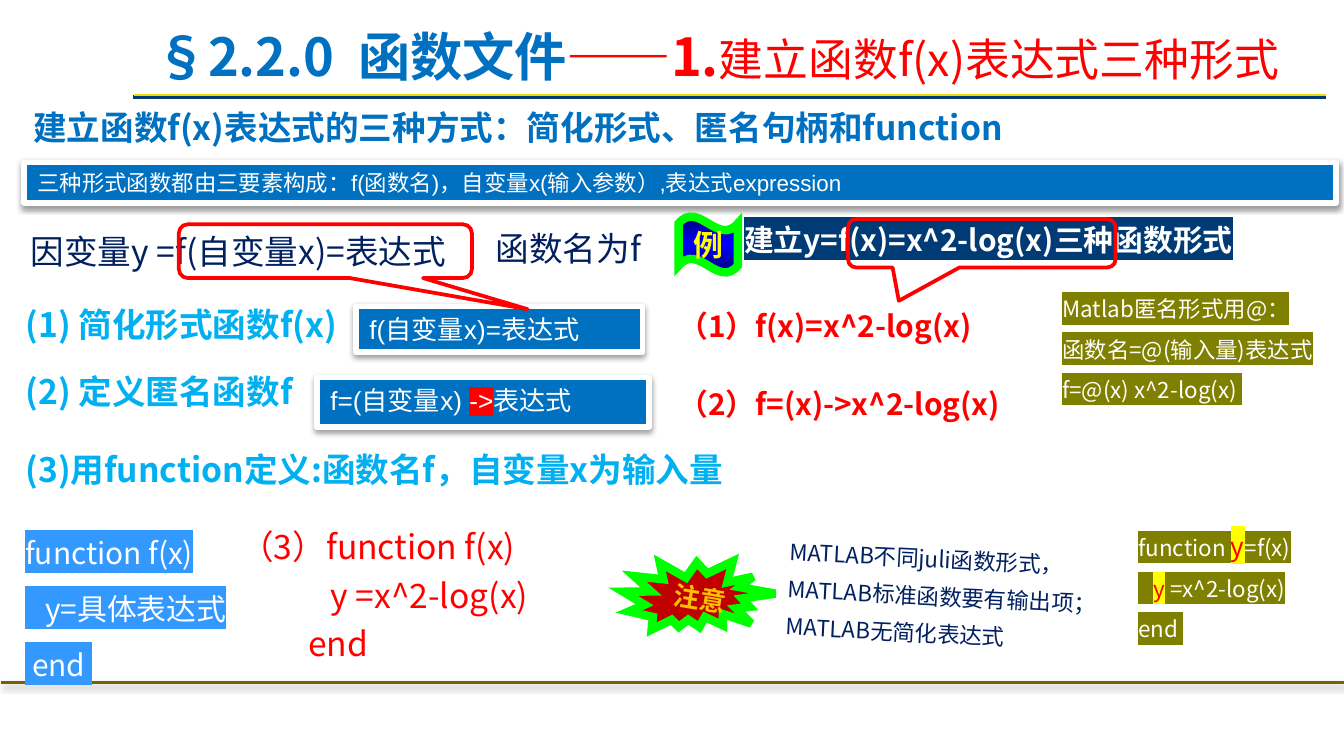
from copy import deepcopy
from typing import NamedTuple

from lxml import etree
from pptx import Presentation
from pptx.dml.color import RGBColor
from pptx.enum import shapes, text
from pptx.oxml import ns
from pptx.util import Pt

NAVY = RGBColor(0x00, 0x20, 0x60)
DEEP = RGBColor(0x00, 0x3B, 0x76)
BLUE = RGBColor(0x00, 0x70, 0xC0)
SKY = RGBColor(0x00, 0xB0, 0xF0)
AZURE = RGBColor(0x33, 0x99, 0xFF)
RED = RGBColor(0xFF, 0x00, 0x00)
CRIMSON = RGBColor(0xC0, 0x00, 0x00)
GOLD = RGBColor(0xF0, 0xDA, 0x04)
AMBER = RGBColor(0xFF, 0xC0, 0x00)
YELLOW = RGBColor(0xFF, 0xFF, 0x00)
BRONZE = RGBColor(0x73, 0x63, 0x03)
OLIVE = RGBColor(0x80, 0x80, 0x00)
GREEN = RGBColor(0x00, 0xFF, 0x00)
INK = RGBColor(0x00, 0x00, 0x76)
PURE_BLUE = RGBColor(0x00, 0x00, 0xFF)
WHITE = RGBColor(0xFF, 0xFF, 0xFF)
SANS = "Noto Sans CJK SC"
JUSTIFY = text.PP_ALIGN.JUSTIFY
Shape = shapes.MSO_SHAPE


class Span(NamedTuple):
    words: str
    color: RGBColor | None = None
    highlight: RGBColor | None = None
    size: float | None = None
    bold: bool | None = None


class Frame(NamedTuple):
    left: float
    top: float
    width: float
    height: float
    rotation: float = 0


class Style(NamedTuple):
    size: float
    color: RGBColor
    bold: bool = False
    font: str = SANS
    highlight: RGBColor | None = None
    spacing: float | Pt = 1.0
    align: text.PP_ALIGN = text.PP_ALIGN.LEFT


class Note(NamedTuple):
    frame: Frame
    style: Style
    lines: list[list[Span]]


def plain(*lines: str) -> list[list[Span]]:
    return [[Span(line)] for line in lines]


def place(item, frame: Frame) -> None:
    item.left, item.top, item.width, item.height = map(Pt, frame[:4])
    item.rotation = frame.rotation


def add_shadow(item, alpha: int, blur: float, distance: float) -> None:
    effects = etree.SubElement(item._element.spPr, ns.qn("a:effectLst"))
    shadow = etree.SubElement(effects, ns.qn("a:outerShdw"), blurRad=str(Pt(blur)),
                              dist=str(Pt(distance)), dir="5400000", rotWithShape="0")
    color = etree.SubElement(shadow, ns.qn("a:srgbClr"), val="000000")
    etree.SubElement(color, ns.qn("a:alpha"), val=str(alpha * 1000))


def write_line(para, style: Style, line: list[Span], gap: float = 0) -> None:
    para.alignment, para.line_spacing, para.space_before = style.align, style.spacing, Pt(gap)
    font = para.font
    font.size, font.bold, font.name = Pt(style.size), style.bold, style.font
    font.color.rgb = style.color
    etree.SubElement(font._element, ns.qn("a:ea"), typeface=SANS)
    for span in line:
        run = para.add_run()
        run.text, run.font.bold = span.words, span.bold
        if span.color is not None:
            run.font.color.rgb = span.color
        if span.size is not None:
            run.font.size = Pt(span.size)
        highlight = span.highlight or style.highlight
        if highlight is not None:
            holder = etree.SubElement(run.font._element, ns.qn("a:highlight"))
            etree.SubElement(holder, ns.qn("a:srgbClr"), val=str(highlight))


def write(body, style: Style, lines: list[list[Span]]) -> None:
    for index, line in enumerate(lines):
        write_line(body.add_paragraph() if index else body.paragraphs[0], style, line)


def add_note(page, note: Note) -> None:
    box = page.shapes.add_textbox(*map(Pt, note.frame[:4]))
    box.rotation = note.frame.rotation
    box.text_frame.word_wrap = True
    box.text_frame.auto_size = text.MSO_AUTO_SIZE.SHAPE_TO_FIT_TEXT
    write(box.text_frame, note.style, note.lines)


def add_panel(page, note: Note, fill: RGBColor, framed: bool = True) -> None:
    box = page.shapes.add_shape(Shape.RECTANGLE, *map(Pt, note.frame[:4]))
    box.fill.solid()
    box.fill.fore_color.rgb = fill
    if framed:
        box.line.color.rgb, box.line.width = WHITE, Pt(3)
        add_shadow(box, 38, 3.1, 1.6)
    else:
        box.line.fill.background()
        box.shadow.inherit = False
    box.text_frame.word_wrap = True
    box.text_frame.vertical_anchor = text.MSO_ANCHOR.TOP
    write(box.text_frame, note.style, note.lines)


def add_badge(page, note: Note, kind: Shape, fill: RGBColor | None = None) -> None:
    box = page.shapes.add_shape(kind, *map(Pt, note.frame[:4]))
    box.rotation, box.shadow.inherit = note.frame.rotation, False
    box.line.color.rgb, box.line.width = GREEN, Pt(4.5)
    etree.SubElement(box._element.spPr.find(ns.qn("a:ln")), ns.qn("a:miter"), lim="800000")
    if fill is not None:
        box.fill.solid()
        box.fill.fore_color.rgb = fill
    else:
        box.fill.gradient()
        box.fill.gradient_angle = 90
        first, middle = box.fill.gradient_stops
        first.color.rgb, middle.color.rgb = INK, PURE_BLUE
        first.position, middle.position = 0, 0.5
        stops = box._element.spPr.find(".//" + ns.qn("a:gsLst"))
        stops.append(deepcopy(stops[0]))
        stops[2].set("pos", "100000")
    box.text_frame.word_wrap = False
    box.text_frame.vertical_anchor = text.MSO_ANCHOR.MIDDLE
    write(box.text_frame, note.style, note.lines)


def add_callout(page, frame: Frame, tip: tuple[float, float]) -> None:
    box = page.shapes.add_shape(Shape.ROUNDED_RECTANGULAR_CALLOUT, *map(Pt, frame[:4]))
    box.adjustments[0], box.adjustments[1] = tip
    box.shadow.inherit = False
    box.fill.background()
    box.line.color.rgb, box.line.width = RED, Pt(2)


def add_rule(page, left: float, right: float, top: float, color: RGBColor, width: float):
    rule = page.shapes.add_connector(shapes.MSO_CONNECTOR.STRAIGHT,
                                     Pt(left), Pt(top), Pt(right), Pt(top))
    rule.line.color.rgb, rule.line.width = color, Pt(width)
    return rule


def fill_title(title) -> None:
    place(title, Frame(76.3, -4.3, 643, 54.7))
    body = title.text_frame
    body.margin_right, body.word_wrap = 0, True
    body.auto_size, body.vertical_anchor = text.MSO_AUTO_SIZE.NONE, text.MSO_ANCHOR.BOTTOM
    write(body, Style(28, BLUE, True),
          [[Span("§2.2.0  函数文件"), Span("——1.", RED),
            Span("建立函数f(x)表达式三种形式", RED, size=24, bold=False)]])


def fill_methods(holder) -> None:
    place(holder, Frame(6.5, 159, 495, 107))
    body = holder.text_frame
    body.auto_size, body.vertical_anchor = text.MSO_AUTO_SIZE.NONE, text.MSO_ANCHOR.TOP
    lines = plain("(1) 简化形式函数f(x)", "(2) 定义匿名函数f",
                  "(3)用function定义:函数名f，自变量x为输入量")
    for index, (line, gap) in enumerate(zip(lines, (0, 14.5, 20))):
        para = body.add_paragraph() if index else body.paragraphs[0]
        properties = para._p.get_or_add_pPr()
        properties.set("marL", "0")
        properties.set("indent", "0")
        etree.SubElement(properties, ns.qn("a:buNone"))
        write_line(para, Style(18, SKY, True), line, gap)


CODE = Style(12, WHITE, highlight=OLIVE, spacing=1.5)
PANEL = Style(14, WHITE, font="Arial", align=JUSTIFY)
NOTES = [
    Note(Frame(258.5, 118.8, 104.4, 29), Style(18, NAVY), plain("函数名为f")),
    Note(Frame(121.7, 274, 199.4, 83.5), Style(18, RED, spacing=Pt(26)),
         plain("（3）function f(x)", "            y =x^2-log(x)", "         end")),
    Note(Frame(356.4, 161.3, 211, 26.6), Style(16, RED, True), plain("（1）f(x)=x^2-log(x)")),
    Note(Frame(9.4, 120, 260.6, 29), Style(18, NAVY), plain("因变量y =f(自变量x)=表达式")),
    Note(Frame(356.4, 203, 224, 26.6), Style(16, RED, True), plain("（2）f=(x)->x^2-log(x)")),
    Note(Frame(562, 147.6, 157.7, 69.8), CODE,
         plain("Matlab匿名形式用@：", "函数名=@(输入量)表达式", "f=@(x) x^2-log(x) ")),
    Note(Frame(602.8, 272.2, 115.2, 73.4), CODE,
         [[Span("function "), Span("y", RED, YELLOW, 14), Span("=f(x)")],
          [Span("   "), Span("y", RED, YELLOW), Span(" =x^2-log(x)")], [Span("end ")]]),
    Note(Frame(391.5, 117.4, 322.6, 25.2), Style(16, WHITE, True, SANS, DEEP, 0.9, JUSTIFY),
         plain("建立y=f(x)=x^2-log(x)三种函数形式")),
    Note(Frame(6.5, 272.2, 140.4, 94.3), Style(16, WHITE, highlight=AZURE, spacing=Pt(30)),
         plain("function f(x)", "   y=具体表达式", " end ")),
    Note(Frame(414.7, 283, 171, 87, 2.9), Style(12, NAVY, spacing=Pt(20)),
         plain("MATLAB不同juli函数形式，", "MATLAB标准函数要有输出项；", "MATLAB无简化表达式")),
]
PANELS = [
    Note(Frame(169.9, 202.3, 177.8, 26.6), PANEL,
         [[Span("f=(自变量x) "), Span("->", highlight=RED), Span("表达式")]]),
    Note(Frame(190.8, 164.2, 153.4, 24.5), PANEL, plain("f(自变量x)=表达式")),
    Note(Frame(13, 87.1, 702.7, 21.6), PANEL._replace(size=12),
         plain("三种形式函数都由三要素构成：f(函数名)，自变量x(输入参数）,表达式expression")),
]
SUBTITLE = Note(Frame(10.8, 56.9, 704.9, 22.3), Style(18, BLUE, True, spacing=0.85, align=JUSTIFY),
                plain("建立函数f(x)表达式的三种方式：简化形式、匿名句柄和function"))
EXAMPLE = Note(Frame(363.6, 115.9, 31.7, 30.2),
               Style(16, YELLOW, True, align=text.PP_ALIGN.CENTER), plain("例"))
CAUTION = Note(Frame(334, 298, 80.6, 43.2, 9.5), Style(14, AMBER, True), plain("注意"))

deck = Presentation()
deck.slide_width, deck.slide_height = Pt(720), Pt(405)
page = deck.slides.add_slide(deck.slide_layouts[1])
fill_title(page.shapes.title)
fill_methods(page.placeholders[1])
for rule in (add_rule(page, 71.3, 710.6, 51.8, DEEP, 2.25),
             add_rule(page, 72, 710.6, 51.1, GOLD, 1)):
    etree.SubElement(rule._element.spPr, ns.qn("a:effectLst"))
add_shadow(add_rule(page, 0.7, 720.7, 365.8, BRONZE, 1.5), 35, 3.1, 1.8)
add_panel(page, SUBTITLE, WHITE, framed=False)
for panel in PANELS:
    add_panel(page, panel, BLUE)
for note in NOTES:
    add_note(page, note)
add_badge(page, EXAMPLE, Shape.WAVE)
add_badge(page, CAUTION, Shape.EXPLOSION2, CRIMSON)
add_callout(page, Frame(95.8, 120.2, 157, 28.8), (0.69, 1.08))
add_callout(page, Frame(454.3, 117.4, 143.3, 25.9), (-0.31, 1.19))
deck.save("out.pptx")
